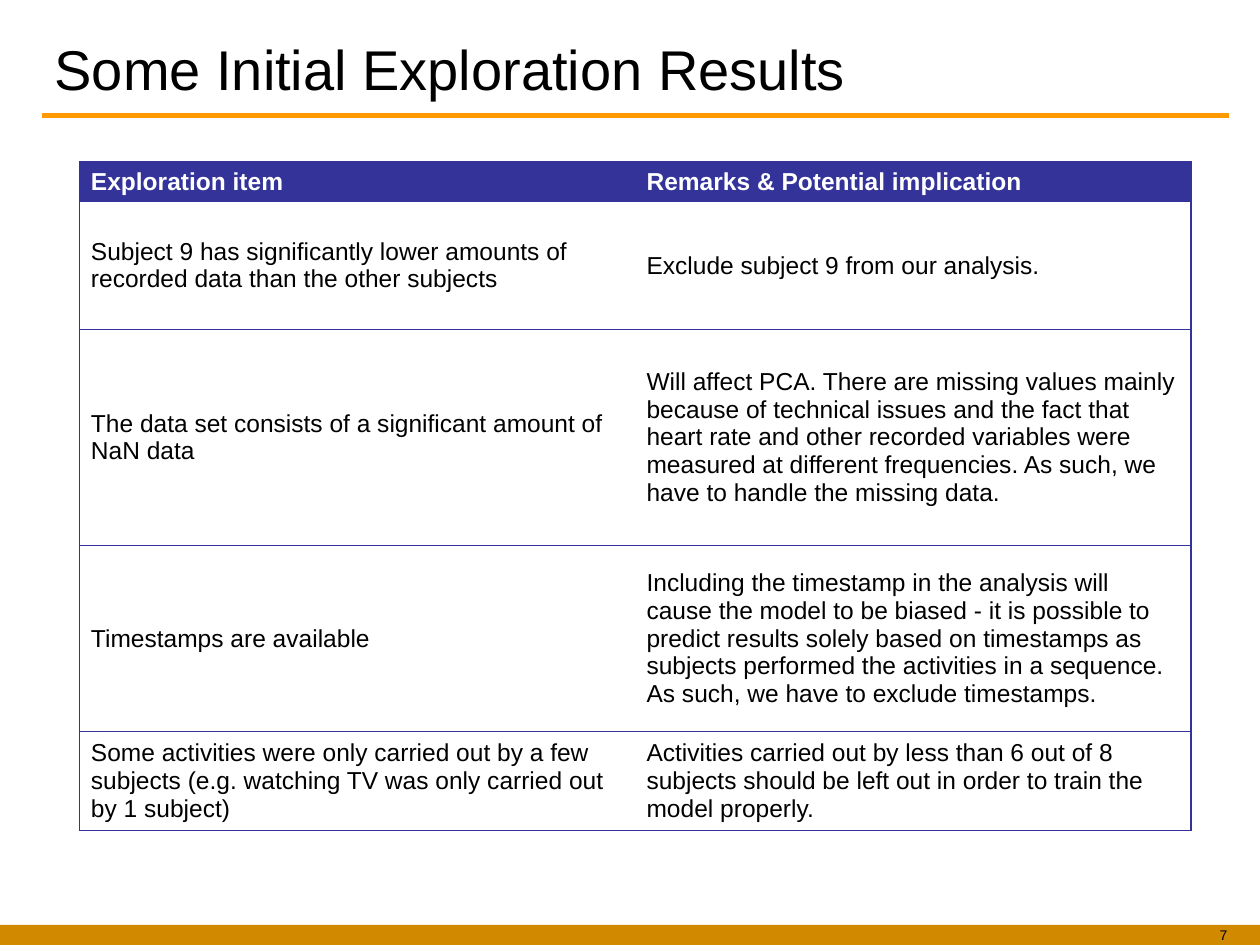
import dataclasses

import lxml.etree
import pptx
import pptx.dml.color
import pptx.enum.shapes
import pptx.enum.text
import pptx.oxml.ns
import pptx.util

Pt = pptx.util.Pt
Align = pptx.enum.text.PP_ALIGN
Anchor = pptx.enum.text.MSO_ANCHOR


@dataclasses.dataclass(frozen=True)
class Theme:
    font: str = "Arial"
    text: str = "000000"
    paper: str = "FFFFFF"
    table: str = "333399"
    rule: str = "FF9900"
    footer: str = "D18A00"
    title_size: float = 32
    table_size: float = 14
    number_size: float = 8


THEME = Theme()
COLUMN_WIDTH = 317.5
ROW_HEIGHTS = [22, 73, 123.4, 106.4, 56]
FINDINGS = [
    ("Exploration item", "Remarks & Potential implication"),
    ("Subject 9 has significantly lower amounts of recorded data than the other subjects",
     "Exclude subject 9 from our analysis."),
    ("The data set consists of a significant amount of NaN data",
     "Will affect PCA. There are missing values mainly because of technical issues and "
     "the fact that heart rate and other recorded variables were measured at different "
     "frequencies. As such, we have to handle the missing data."),
    ("Timestamps are available",
     "Including the timestamp in the analysis will cause the model to be biased - it is "
     "possible to predict results solely based on timestamps as subjects performed the "
     "activities in a sequence. As such, we have to exclude timestamps."),
    ("Some activities were only carried out by a few subjects (e.g. watching TV was only "
     "carried out by 1 subject)",
     "Activities carried out by less than 6 out of 8 subjects should be left out in order "
     "to train the model properly."),
]


def rgb(color):
    return pptx.dml.color.RGBColor.from_string(color)


def write(frame, text, size, color, align=Align.LEFT, bold=False):
    frame.text = text
    frame.word_wrap = True
    paragraph = frame.paragraphs[0]
    paragraph.alignment = align
    font = paragraph.runs[0].font
    font.name = THEME.font
    font.size = Pt(size)
    font.bold = bold
    font.color.rgb = rgb(color)


def add_title(slide, text):
    title = slide.shapes.title
    title.left, title.top, title.width, title.height = Pt(24), Pt(12), Pt(678), Pt(54)
    write(title.text_frame, text, THEME.title_size, THEME.text)
    title.text_frame.vertical_anchor = Anchor.MIDDLE


def add_title_rule(slide):
    rule = slide.shapes.add_connector(
        pptx.enum.shapes.MSO_CONNECTOR.STRAIGHT, Pt(24), Pt(66), Pt(702), Pt(66))
    rule.line.color.rgb = rgb(THEME.rule)
    rule.line.width = Pt(3)
    lxml.etree.SubElement(rule._element.spPr, pptx.oxml.ns.qn("a:effectLst"))


def add_footer(slide, number):
    band = slide.shapes.add_shape(
        pptx.enum.shapes.MSO_SHAPE.RECTANGLE, 0, Pt(528.5), Pt(720), Pt(11.5))
    band.fill.solid()
    band.fill.fore_color.rgb = rgb(THEME.footer)
    band.line.fill.background()
    band.shadow.inherit = False

    page = slide.shapes.add_textbox(Pt(606), Pt(516), Pt(102.5), Pt(24)).text_frame
    write(page, number, THEME.number_size, THEME.text, Align.RIGHT)
    page.vertical_anchor = Anchor.BOTTOM
    page.margin_bottom = Pt(1)


def set_borders(cell, visible):
    """Draw the sides in visible and hide the others."""
    properties = cell._tc.get_or_add_tcPr()
    for side in "LRTB":
        line = lxml.etree.SubElement(properties, pptx.oxml.ns.qn(f"a:ln{side}"), w=str(Pt(1)))
        if side in visible:
            fill = lxml.etree.SubElement(line, pptx.oxml.ns.qn("a:solidFill"))
            lxml.etree.SubElement(fill, pptx.oxml.ns.qn("a:srgbClr"), val=THEME.table)
        else:
            lxml.etree.SubElement(line, pptx.oxml.ns.qn("a:noFill"))


def add_findings(slide):
    table = slide.shapes.add_table(
        len(FINDINGS), 2, Pt(45.5), Pt(92.5), Pt(2 * COLUMN_WIDTH), Pt(sum(ROW_HEIGHTS))).table
    table.horz_banding = False
    for column in table.columns:
        column.width = Pt(COLUMN_WIDTH)
    for row_index, (height, texts) in enumerate(zip(ROW_HEIGHTS, FINDINGS)):
        header = row_index == 0
        table.rows[row_index].height = Pt(height)
        for column_index, (text, outer_side) in enumerate(zip(texts, "LR")):
            cell = table.cell(row_index, column_index)
            set_borders(cell, "TB" + outer_side)
            cell.fill.solid()
            cell.fill.fore_color.rgb = rgb(THEME.table if header else THEME.paper)
            cell.vertical_anchor = Anchor.MIDDLE
            cell.margin_left = cell.margin_right = Pt(6.5)
            cell.margin_top = cell.margin_bottom = Pt(3)
            write(cell.text_frame, text, THEME.table_size,
                  THEME.paper if header else THEME.text, bold=header)


def main():
    deck = pptx.Presentation()
    deck.slide_width, deck.slide_height = Pt(720), Pt(540)
    slide = deck.slides.add_slide(deck.slide_layouts.get_by_name("Title Only"))
    add_title_rule(slide)
    add_title(slide, "Some Initial Exploration Results")
    add_footer(slide, "7")
    add_findings(slide)
    deck.save("out.pptx")


if __name__ == "__main__":
    main()
